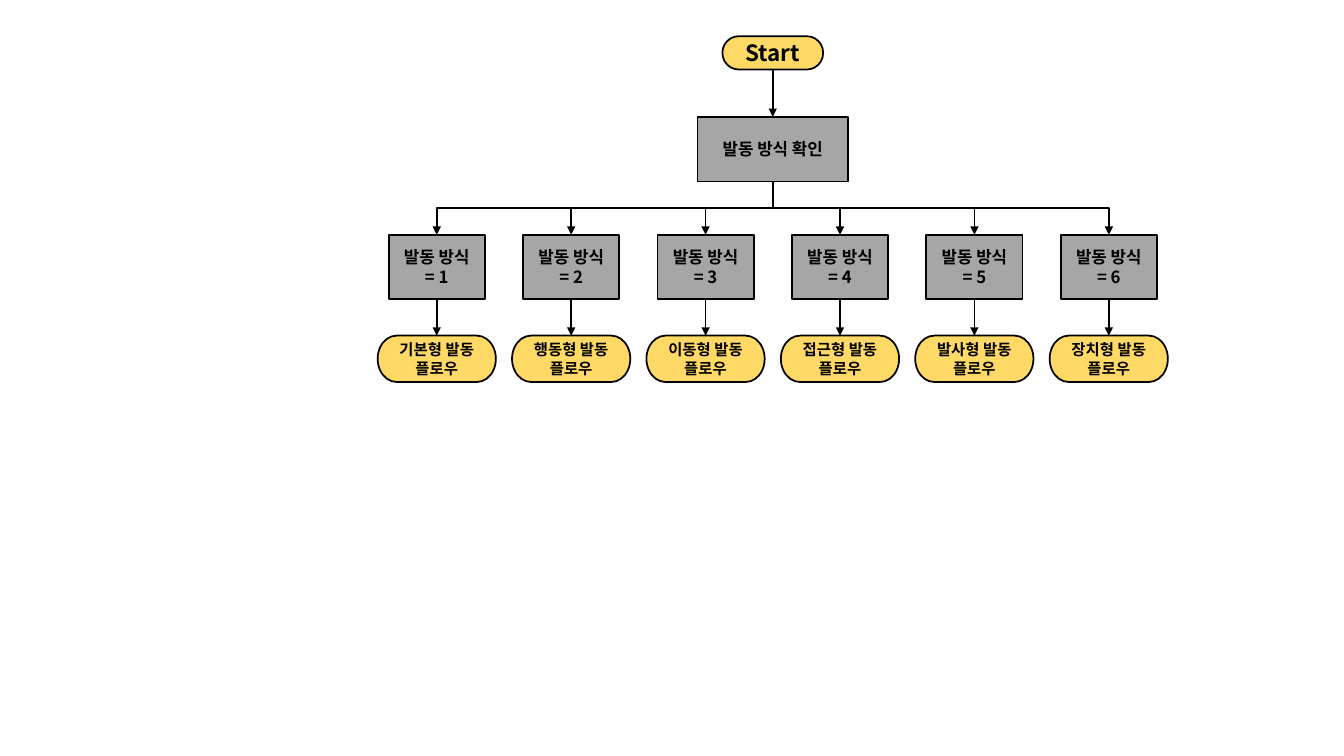
from lxml import etree
from pptx import Presentation
from pptx.dml.color import RGBColor
from pptx.enum.shapes import MSO_CONNECTOR, MSO_SHAPE
from pptx.enum.text import MSO_ANCHOR, PP_ALIGN
from pptx.oxml.ns import qn
from pptx.util import Inches, Pt

TERMINATOR = MSO_SHAPE.FLOWCHART_TERMINATOR
PROCESS = MSO_SHAPE.FLOWCHART_PROCESS
STRAIGHT, ELBOW = MSO_CONNECTOR.STRAIGHT, MSO_CONNECTOR.ELBOW
CENTER, MIDDLE = PP_ALIGN.CENTER, MSO_ANCHOR.MIDDLE

BLACK = RGBColor(0x00, 0x00, 0x00)
YELLOW = RGBColor(0xFF, 0xD9, 0x66)
GRAY = RGBColor(0xA6, 0xA6, 0xA6)
FILLS = {TERMINATOR: YELLOW, PROCESS: GRAY}

FONT = "Noto Sans CJK KR"
COLUMNS, ROWS = 100, 75
TOP_SITE, BOTTOM_SITE = 0, 2
ROOT_COLUMN, FIRST_COLUMN, COLUMN_STEP = 57.5, 32.5, 10
FLOWS = ["기본형", "행동형", "이동형", "접근형", "발사형", "장치형"]


class FlowChart:
    """Draws flowchart steps and arrows on one slide."""

    def __init__(self, deck):
        """Add a blank page and work out its grid."""
        self.page = deck.slides.add_slide(deck.slide_layouts[6])
        self.column = deck.slide_width / COLUMNS
        self.row = deck.slide_height / ROWS

    def step(self, kind, text, center, top, width, height, size):
        """Add a labelled step centred on a grid column."""
        box = self.page.shapes.add_shape(
            kind,
            round((center - width / 2) * self.column), round(top * self.row),
            round(width * self.column), round(height * self.row))
        box.shadow.inherit = False
        box.fill.solid()
        box.fill.fore_color.rgb = FILLS[kind]
        self.outline(box)
        frame = box.text_frame
        for name, value in {"word_wrap": True, "vertical_anchor": MIDDLE}.items():
            setattr(frame, name, value)
        para = frame.paragraphs[0]
        para.alignment = CENTER
        span = para.add_run()
        span.text = text
        style = {"name": FONT, "size": Pt(size), "bold": True}
        for name, value in style.items():
            setattr(span.font, name, value)
        span.font.color.rgb = BLACK
        east_asian = etree.SubElement(span.font._element, qn("a:ea"))
        east_asian.set("typeface", FONT)
        return box

    def outline(self, item):
        """Give a step or an arrow the common black line."""
        item.line.color.rgb = BLACK
        item.line.width = Pt(1.25)

    def arrow(self, source, target, kind=STRAIGHT):
        """Link the bottom of one step to the top of another."""
        link = self.page.shapes.add_connector(kind, 0, 0, 0, 0)
        link.begin_connect(source, BOTTOM_SITE)
        link.end_connect(target, TOP_SITE)
        self.outline(link)
        properties = link._element.spPr
        head = etree.SubElement(properties.find(qn("a:ln")), qn("a:tailEnd"))
        head.set("type", "triangle")
        etree.SubElement(properties, qn("a:effectLst"))
        if kind == ELBOW:
            self.turn_down(link)

    def turn_down(self, link):
        """Rotate an elbow so that it leaves and arrives vertically."""
        reach = link.end_x - link.begin_x
        drop = link.end_y - link.begin_y
        middle_x = (link.begin_x + link.end_x) // 2
        middle_y = (link.begin_y + link.end_y) // 2
        frame = link._element.spPr.find(qn("a:xfrm"))
        frame.attrib.clear()
        frame.set("rot", "16200000" if reach > 0 else "5400000")
        if reach > 0:
            frame.set("flipH", "1")
        place = {"left": middle_x - drop // 2, "top": middle_y - abs(reach) // 2,
                 "width": drop, "height": abs(reach)}
        for name, value in place.items():
            setattr(link, name, value)


def main():
    """Build the activation flowchart and save it."""
    deck = Presentation()
    deck.slide_width, deck.slide_height = Inches(13.33), Inches(7.5)
    chart = FlowChart(deck)
    start = chart.step(TERMINATOR, "Start", ROOT_COLUMN, 3.6, 7.5, 3.3, 16)
    check = chart.step(PROCESS, "발동 방식 확인", ROOT_COLUMN, 11.6, 11.2, 6.4, 12)
    chart.arrow(start, check)
    for index, flow in enumerate(FLOWS):
        center = FIRST_COLUMN + index * COLUMN_STEP
        case = chart.step(PROCESS, f"발동 방식 = {index + 1}",
                          center, 23.3, 7.15, 6.4, 12)
        result = chart.step(TERMINATOR, f"{flow} 발동 플로우",
                            center, 33.3, 8.8, 4.6, 11)
        chart.arrow(check, case, ELBOW)
        chart.arrow(case, result)
    deck.save("out.pptx")


main()
